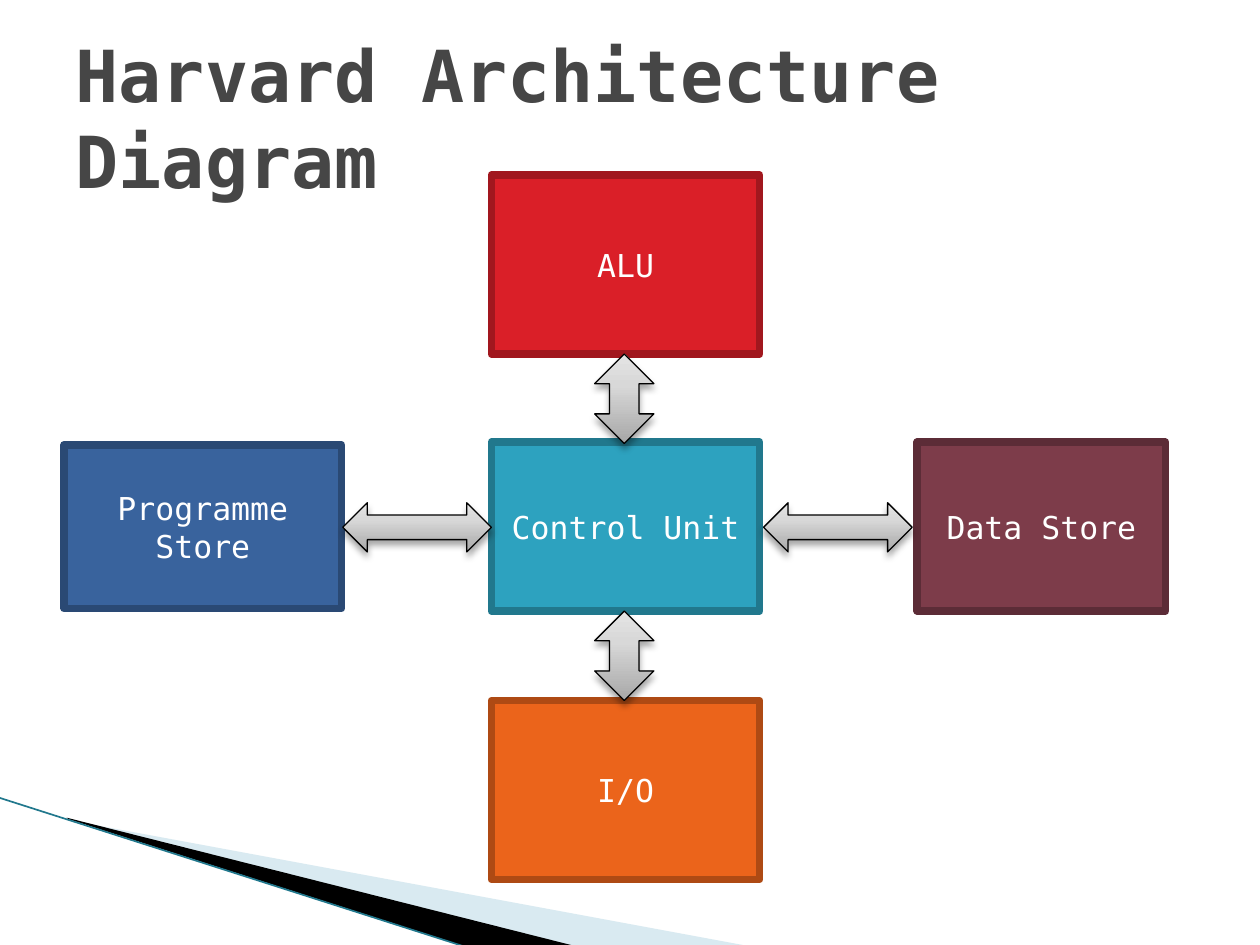
from lxml import etree
from pptx import Presentation
from pptx.dml.color import RGBColor
from pptx.enum.shapes import MSO_CONNECTOR, MSO_SHAPE
from pptx.enum.text import MSO_ANCHOR, MSO_AUTO_SIZE, PP_ALIGN
from pptx.oxml import parse_xml
from pptx.oxml.ns import nsdecls, qn
from pptx.util import Inches, Pt

WHITE = RGBColor(0xFF, 0xFF, 0xFF)
BLACK = RGBColor(0, 0, 0)
GREY = RGBColor(0x46, 0x46, 0x46)
PALE_BLUE = RGBColor(0xA0, 0xCB, 0xDC)
TEAL = RGBColor(0x2D, 0xA2, 0xBF)
DARK_TEAL = RGBColor(0x21, 0x78, 0x8D)
ORANGE = RGBColor(0xEB, 0x64, 0x1B)
DARK_ORANGE = RGBColor(0xAE, 0x4A, 0x14)
RED = RGBColor(0xDA, 0x1F, 0x28)
DARK_RED = RGBColor(0xA1, 0x17, 0x1E)
BLUE = RGBColor(0x39, 0x63, 0x9D)
DARK_BLUE = RGBColor(0x2A, 0x49, 0x74)
PLUM = RGBColor(0x7D, 0x3C, 0x4A)
DARK_PLUM = RGBColor(0x5C, 0x2C, 0x37)
ARROW_STOPS = ((0, RGBColor(0xA7, 0xA7, 0xA7)),
               (65, RGBColor(0xD8, 0xD8, 0xD8)),
               (100, RGBColor(0xE4, 0xE4, 0xE4)))


class DiagramSlide:
    font_name = "DejaVu Sans Mono"
    title_size = Pt(41)
    box_size = Pt(18)
    box_border = Pt(4.33)
    arrow_border = Pt(0.75)

    def __init__(self, slide):
        self.slide = slide

    def format_text(self, paragraph, size, color, alignment, bold=False):
        paragraph.alignment = alignment
        font = paragraph.font
        font.name, font.size, font.bold = self.font_name, size, bold
        font.color.rgb = color

    def title(self, text, left, top, width, height):
        title = self.slide.shapes.title
        title.left, title.top = Inches(left), Inches(top)
        title.width, title.height = Inches(width), Inches(height)
        frame = title.text_frame
        frame.text = text
        frame.word_wrap = True
        frame.auto_size = MSO_AUTO_SIZE.NONE
        frame.vertical_anchor = MSO_ANCHOR.MIDDLE
        self.format_text(frame.paragraphs[0], self.title_size, GREY,
                         PP_ALIGN.LEFT, bold=True)

    def wedge(self, points, color, opacity=100):
        corners = [(Inches(x), Inches(y)) for x, y in points]
        builder = self.slide.shapes.build_freeform(*corners[0])
        builder.add_line_segments(corners[1:], close=True)
        shape = builder.convert_to_shape()
        shape.shadow.inherit = False
        shape.fill.solid()
        shape.fill.fore_color.rgb = color
        shape.line.fill.background()
        if opacity < 100:
            fill_color = shape._element.spPr.find(".//" + qn("a:srgbClr"))
            etree.SubElement(fill_color, qn("a:alpha"), val=str(opacity * 1000))

    def line(self, start, end, color, width):
        connector = self.slide.shapes.add_connector(
            MSO_CONNECTOR.STRAIGHT, *(Inches(value) for value in start + end))
        connector.line.color.rgb = color
        connector.line.width = Pt(width)
        etree.SubElement(connector._element.spPr, qn("a:effectLst"))

    def add_shape(self, kind, left, top, width, height):
        shape = self.slide.shapes.add_shape(
            kind, Inches(left), Inches(top), Inches(width), Inches(height))
        shape.shadow.inherit = False
        return shape

    def box(self, text, bounds, fill, border):
        shape = self.add_shape(MSO_SHAPE.RECTANGLE, *bounds)
        shape.fill.solid()
        shape.fill.fore_color.rgb = fill
        shape.line.color.rgb = border
        shape.line.width = self.box_border
        etree.SubElement(shape.line._get_or_add_ln(), qn("a:round"))
        frame = shape.text_frame
        frame.text = text
        frame.word_wrap = True
        frame.vertical_anchor = MSO_ANCHOR.MIDDLE
        for paragraph in frame.paragraphs:
            self.format_text(paragraph, self.box_size, WHITE, PP_ALIGN.CENTER)

    def arrow(self, kind, *bounds):
        shape = self.add_shape(kind, *bounds)
        shape.line.color.rgb = BLACK
        shape.line.width = self.arrow_border
        properties = shape._element.spPr
        stops = "".join(
            f'<a:gs pos="{position * 1000}"><a:srgbClr val="{color}"/></a:gs>'
            for position, color in ARROW_STOPS)
        properties.find(qn("a:prstGeom")).addnext(parse_xml(
            f'<a:gradFill {nsdecls("a")} rotWithShape="1"><a:gsLst>{stops}</a:gsLst>'
            '<a:lin ang="16200000" scaled="0"/></a:gradFill>'))
        properties.find(qn("a:effectLst")).append(parse_xml(
            f'<a:outerShdw {nsdecls("a")} blurRad="{Pt(4)}" dist="{Pt(3)}" '
            'dir="5400000" rotWithShape="0"><a:srgbClr val="000000">'
            '<a:alpha val="35000"/></a:srgbClr></a:outerShdw>'))


def main():
    presentation = Presentation()
    presentation.slide_width, presentation.slide_height = Inches(10), Inches(7.5)
    diagram = DiagramSlide(presentation.slides.add_slide(presentation.slide_layouts[5]))

    diagram.wedge([(0.55, 6.51), (5.95, 7.51), (4.56, 7.51), (0.55, 6.5)], PALE_BLUE, 40)
    diagram.wedge([(0.53, 6.49), (4.57, 7.51), (3.72, 7.52), (0.54, 6.5)], BLACK)
    diagram.line((-0.01, 6.33), (3.71, 7.52), DARK_TEAL, 0.95)
    diagram.title("Harvard Architecture Diagram", 0.5, 0.3, 9, 1.25)

    boxes = [
        ("Control Unit", (3.9, 3.51, 2.13, 1.34), TEAL, DARK_TEAL),
        ("I/O", (3.9, 5.56, 2.13, 1.42), ORANGE, DARK_ORANGE),
        ("ALU", (3.9, 1.39, 2.13, 1.42), RED, DARK_RED),
        ("Programme\nStore", (0.51, 3.53, 2.2, 1.3), BLUE, DARK_BLUE),
        ("Data Store", (7.28, 3.51, 1.97, 1.34), PLUM, DARK_PLUM),
    ]
    for text, bounds, fill, border in boxes:
        diagram.box(text, bounds, fill, border)

    for top in (2.81, 4.85):
        diagram.arrow(MSO_SHAPE.UP_DOWN_ARROW, 4.72, top, 0.47, 0.71)
    for left in (2.72, 6.06):
        diagram.arrow(MSO_SHAPE.LEFT_RIGHT_ARROW, left, 3.99, 1.18, 0.39)

    presentation.save("out.pptx")


if __name__ == "__main__":
    main()
